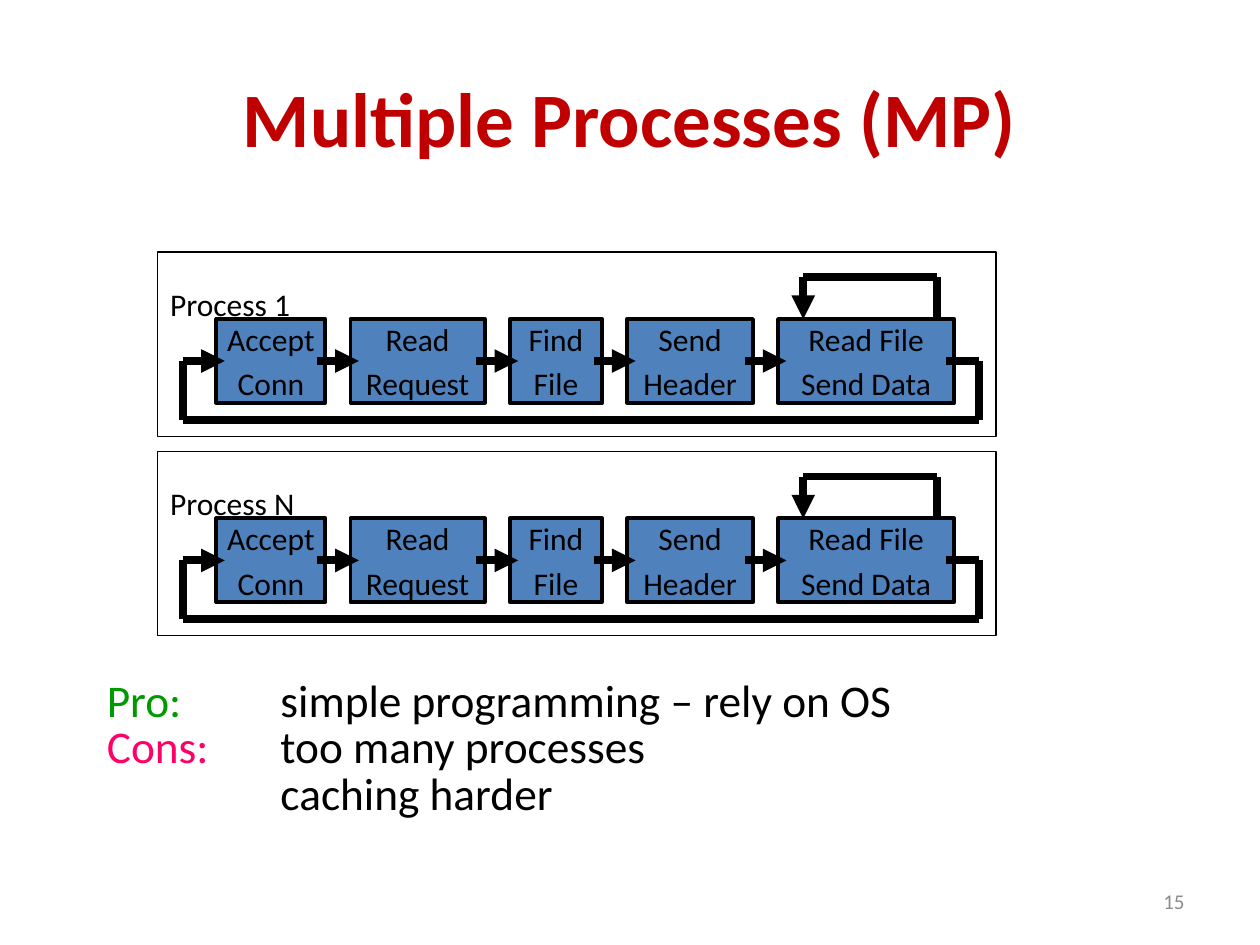
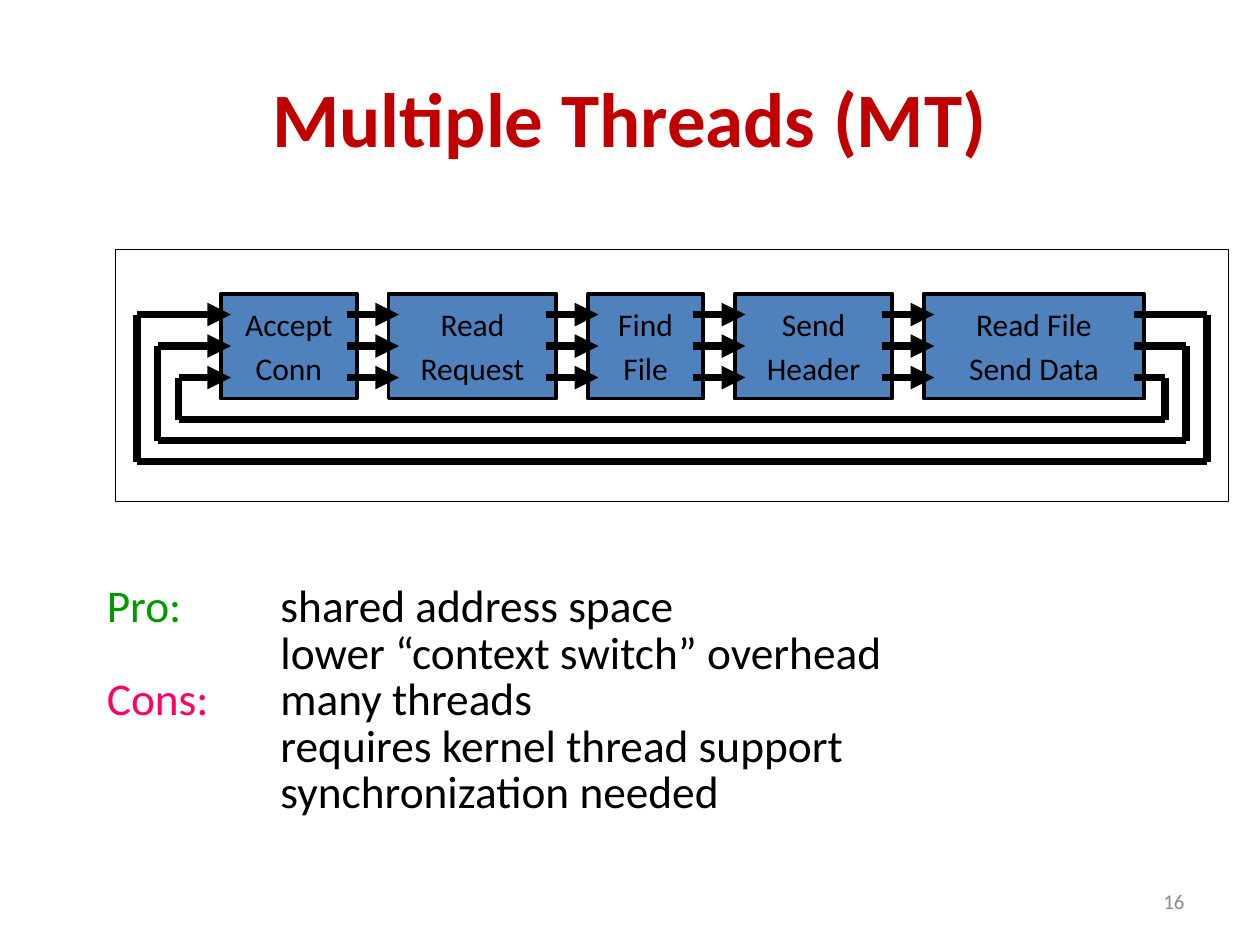
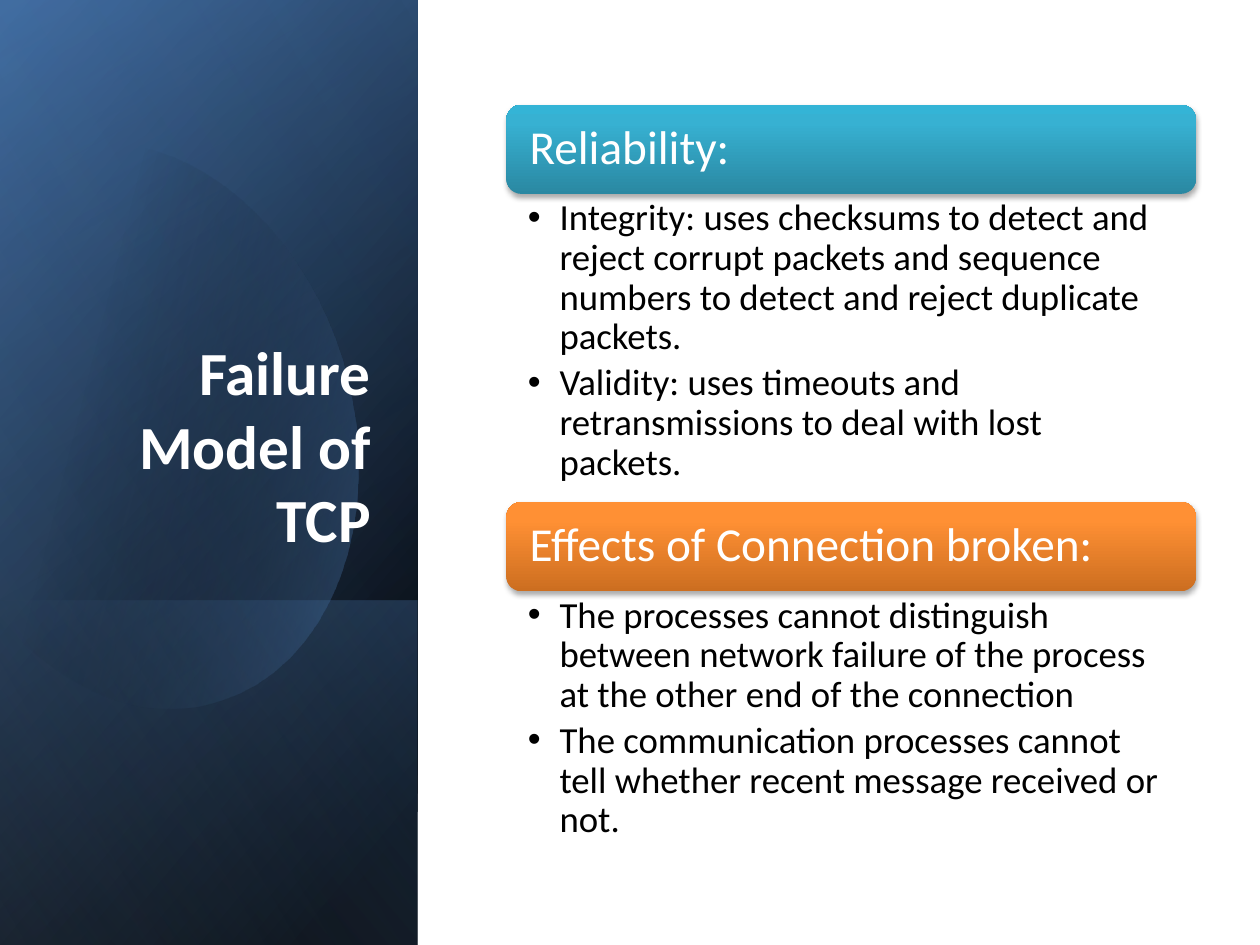
import itertools

import lxml.etree
import pptx
import pptx.dml.color
import pptx.enum.shapes
import pptx.enum.text
import pptx.oxml.ns
import pptx.util

Cm = pptx.util.Cm
Pt = pptx.util.Pt
RGBColor = pptx.dml.color.RGBColor
Shape = pptx.enum.shapes.MSO_SHAPE
Anchor = pptx.enum.text.MSO_ANCHOR
Align = pptx.enum.text.PP_ALIGN
qn = pptx.oxml.ns.qn

FONT = "Calibri"
BLACK = RGBColor(0x00, 0x00, 0x00)
WHITE = RGBColor(0xFF, 0xFF, 0xFF)
TITLE_RED = RGBColor(0xC0, 0x00, 0x00)
NUMBER_GREY = RGBColor(0x8C, 0x8C, 0x8C)
STAGE_BLUE = RGBColor(0x4F, 0x81, 0xBD)
DEEP_BLUE = RGBColor(0x37, 0x60, 0x92)
PALE_BLUE = RGBColor(0x95, 0xB3, 0xD7)
PRO_GREEN = RGBColor(0x00, 0x99, 0x00)
CONS_PINK = RGBColor(0xFF, 0x00, 0x66)
TEAL_STOPS = [(0, RGBColor(0x2A, 0x88, 0xA2), 100), (80, RGBColor(0x37, 0xB1, 0xD2), 100),
              (100, RGBColor(0x34, 0xB4, 0xD6), 100)]
ORANGE_STOPS = [(0, RGBColor(0xCC, 0x6E, 0x20), 100), (80, RGBColor(0xFF, 0x90, 0x34), 100),
                (100, RGBColor(0xFF, 0x91, 0x36), 100)]

LABEL_COLORS = {"Pro:": PRO_GREEN, "Cons:": CONS_PINK, "": BLACK}
STAGES = [("Accept\nConn", 13), ("Read\nRequest", 16), ("Find\nFile", 11),
          ("Send\nHeader", 15), ("Read File\nSend Data", 21)]
STAGE_GAP = 3
STAGE_HEIGHT = 10
PIPELINE_WIDTH = sum(width for _, width in STAGES) + STAGE_GAP * (len(STAGES) - 1)


def place(shape, left, top, width, height):
    """Move a shape to a box given in centimetres."""
    shape.left, shape.top = Cm(left), Cm(top)
    shape.width, shape.height = Cm(width), Cm(height)


def format_font(font, size, color, bold=False):
    """Apply the shared typeface with a size and colour."""
    font.name, font.size, font.bold = FONT, Pt(size), bold
    font.color.rgb = color


def write_text(text_frame, text, size, color, alignment=Align.LEFT, bold=False,
               before=0, after=0, line_spacing=1.0):
    """Fill a text frame and format all its paragraphs alike."""
    text_frame.text = text
    text_frame.auto_size = pptx.enum.text.MSO_AUTO_SIZE.NONE
    for paragraph in text_frame.paragraphs:
        paragraph.alignment = alignment
        paragraph.line_spacing = line_spacing
        paragraph.space_before, paragraph.space_after = Pt(before), Pt(after)
        for run in paragraph.runs:
            format_font(run.font, size, color, bold)


def set_margins(text_frame, left, top, right, bottom):
    """Set the four insets of a text frame in centimetres."""
    text_frame.margin_left, text_frame.margin_top = Cm(left), Cm(top)
    text_frame.margin_right, text_frame.margin_bottom = Cm(right), Cm(bottom)


def hang_paragraph(paragraph, indent, bullet=None):
    """Give a paragraph a hanging indent with a bullet or none."""
    properties = paragraph._p.get_or_add_pPr()
    properties.set("marL", str(Cm(indent)))
    properties.set("indent", str(-Cm(indent)))
    if bullet:
        lxml.etree.SubElement(properties, qn("a:buChar"), char=bullet)
    else:
        lxml.etree.SubElement(properties, qn("a:buNone"))


def fill_gradient(shape, stops, angle):
    """Fill a borderless shape with (position, colour, opacity) stops."""
    shape.shadow.inherit = False
    shape.line.fill.background()
    shape.fill.background()
    properties = shape.element.spPr
    gradient = lxml.etree.Element(qn("a:gradFill"), rotWithShape="1")
    stop_list = lxml.etree.SubElement(gradient, qn("a:gsLst"))
    for position, color, opacity in stops:
        stop = lxml.etree.SubElement(stop_list, qn("a:gs"), pos=str(position * 1000))
        value = lxml.etree.SubElement(stop, qn("a:srgbClr"), val=str(color))
        if opacity < 100:
            lxml.etree.SubElement(value, qn("a:alpha"), val=str(opacity * 1000))
    lxml.etree.SubElement(gradient, qn("a:lin"), ang=str(angle * 60000), scaled="0")
    properties.replace(properties.find(qn("a:noFill")), gradient)


def add_soft_shadow(shape):
    """Cast a short shadow below a shape."""
    effects = shape.element.spPr.find(qn("a:effectLst"))
    shadow = lxml.etree.SubElement(effects, qn("a:outerShdw"), blurRad=str(Pt(3.1)),
                                   dist=str(Pt(1.8)), dir="5400000", rotWithShape="0")
    color = lxml.etree.SubElement(shadow, qn("a:srgbClr"), val=str(BLACK))
    lxml.etree.SubElement(color, qn("a:alpha"), val="35000")


def add_box(shapes, left, top, width, height, fill, line_width):
    """Add a rectangle with a black outline."""
    box = shapes.add_shape(Shape.RECTANGLE, Cm(left), Cm(top), Cm(width), Cm(height))
    box.shadow.inherit = False
    box.fill.solid()
    box.fill.fore_color.rgb = fill
    box.line.color.rgb = BLACK
    box.line.width = Pt(line_width)
    return box


def add_route(shapes, points, arrow=False):
    """Join points with thick lines, the last one optionally an arrow."""
    segments = list(itertools.pairwise(points))
    for start, end in segments:
        connector = shapes.add_connector(pptx.enum.shapes.MSO_CONNECTOR.STRAIGHT,
                                         *(Cm(value) for value in (*start, *end)))
        connector.line.color.rgb = BLACK
        connector.line.width = Pt(4.5)
        properties = connector.element.spPr
        if arrow and (start, end) == segments[-1]:
            lxml.etree.SubElement(properties.find(qn("a:ln")), qn("a:tailEnd"), type="triangle")
        lxml.etree.SubElement(properties, qn("a:effectLst"))


def add_pipeline(shapes, left, top, unit, lanes):
    """Draw the five stages and, per lane, the arrows and return route."""
    def point(x, y):
        """Turn grid units into centimetres."""
        return left + x * unit, top + y * unit

    x = 0
    starts = []
    for text, width in STAGES:
        starts.append(x)
        stage = add_box(shapes, *point(x, 0), width * unit, STAGE_HEIGHT * unit, STAGE_BLUE, 2.25)
        stage.text_frame.word_wrap = False
        stage.text_frame.vertical_anchor = Anchor.MIDDLE
        write_text(stage.text_frame, text, 18, BLACK, Align.CENTER, before=3.6)
        x += width + STAGE_GAP
    for height, left_margin, depth, right_margin in lanes:
        for start in starts[1:]:
            add_route(shapes, [point(start - STAGE_GAP - 1, height), point(start + 1, height)], True)
        right = PIPELINE_WIDTH + right_margin
        add_route(shapes, [point(PIPELINE_WIDTH - 1, height), point(right, height),
                           point(right, depth), point(-left_margin, depth),
                           point(-left_margin, height), point(1, height)], True)


def add_process(slide, name, left, top, width):
    """Draw one framed process with its pipeline and read loop."""
    unit = width / 100
    shapes = slide.shapes.add_group_shape().shapes
    frame = add_box(shapes, left, top, width, 22 * unit, WHITE, 0.75)
    frame.text_frame.vertical_anchor = Anchor.TOP
    set_margins(frame.text_frame, 0.25, 0.66, 0.25, 0)
    write_text(frame.text_frame, name, 18, BLACK)
    add_pipeline(shapes, left + 7 * unit, top + 8 * unit, unit, [(5, 4, 12, 3)])
    loop = [(93, 8), (93, 3), (77, 3), (77, 8)]
    add_route(shapes, [(left + x * unit, top + y * unit) for x, y in loop], True)


def add_threads(slide, left, top, width):
    """Draw the frame whose pipeline is shared by three threads."""
    unit = width / 106
    add_box(slide.shapes, left, top, width, 24 * unit, WHITE, 0.75)
    lanes = [(2 + 3 * row, 8 - 2 * row, 16 - 2 * row, 6 - 2 * row) for row in range(3)]
    add_pipeline(slide.shapes, left + 10 * unit, top + 4.2 * unit, unit, lanes)


def add_pros_and_cons(body, points, left, top, width, height):
    """Fill the body placeholder with labelled points in two columns."""
    place(body, left, top, width, height)
    write_text(body.text_frame, "\n".join(label for label, _ in points), 25.9, BLACK,
               before=4.8, line_spacing=0.7)
    for paragraph, (label, text) in zip(body.text_frame.paragraphs, points):
        for run in paragraph.runs:
            run.font.color.rgb = LABEL_COLORS[label]
        run = paragraph.add_run()
        run.text = "\t" + text
        format_font(run.font, 25.9, BLACK)
        hang_paragraph(paragraph, 3.5)


def add_server_slide(presentation, title, number, points, points_top):
    """Add a slide with a red title, pros and cons and a page number."""
    slide = presentation.slides.add_slide(presentation.slide_layouts[1])
    place(slide.shapes.title, 1.27, 0.76, 22.86, 3.18)
    slide.shapes.title.text_frame.vertical_anchor = Anchor.MIDDLE
    write_text(slide.shapes.title.text_frame, title, 44, TITLE_RED, Align.CENTER, bold=True)
    add_pros_and_cons(slide.placeholders[1], points, 1.9, points_top, 21.6, 16.92 - points_top)
    page_number = slide.shapes.add_textbox(Cm(18.2), Cm(17.66), Cm(5.93), Cm(1.01))
    page_number.text_frame.word_wrap = True
    page_number.text_frame.vertical_anchor = Anchor.MIDDLE
    write_text(page_number.text_frame, str(number), 12, NUMBER_GREY, Align.RIGHT)
    return slide


def add_panel(slide, left, top, width, height, stops, angle):
    """Add a turned and mirrored gradient panel that covers the box."""
    panel = slide.shapes.add_shape(Shape.RECTANGLE, Cm(left + (width - height) / 2),
                                   Cm(top + (height - width) / 2), Cm(height), Cm(width))
    panel.rotation = 90
    panel.element.spPr.find(qn("a:xfrm")).set("flipH", "1")
    fill_gradient(panel, stops, angle)


def curve_points(start, first, second, end, steps=16):
    """Return points along a cubic curve, without its start."""
    points = []
    for step in range(1, steps + 1):
        t = step / steps
        weights = ((1 - t) ** 3, 3 * t * (1 - t) ** 2, 3 * t * t * (1 - t), t ** 3)
        points.append(tuple(sum(weight * place[axis] for weight, place
                                in zip(weights, (start, first, second, end)))
                            for axis in range(2)))
    return points


def add_glow(slide, left, top):
    """Add the large tilted oval, cut off at the left edge."""
    outline = [(0, 0.8)]
    for curve in [((0.7, 0.2), (1.6, 0), (2.44, 0.15)),
                  ((4.34, 0.35), (6.2, 2.13), (6.93, 4.62)),
                  ((7.8, 7.71), (6.65, 10.74), (4.34, 11.4)),
                  ((2.9, 11.83), (1.35, 11.22), (0, 9.75))]:
        outline += curve_points(outline[-1], *curve)
    points = [(Cm(left + x), Cm(top + y)) for x, y in outline]
    builder = slide.shapes.build_freeform(*points[0], scale=1.0)
    builder.add_line_segments(points[1:], close=True)
    fill_gradient(builder.convert_to_shape(), [(29, BLACK, 0), (100, STAGE_BLUE, 43)], 14)


def add_side_band(slide, title, left, top, width, height):
    """Draw the dark band and put the title on it."""
    box = (left, top, width, height)
    add_panel(slide, *box, [(8, BLACK, 100), (100, DEEP_BLUE, 100)], 50)
    add_panel(slide, *box, [(0, BLACK, 0), (99, STAGE_BLUE, 46)], 30)
    add_panel(slide, left, top + 12.1, width, height - 12.1,
              [(2, STAGE_BLUE, 29), (100, BLACK, 30)], 130)
    add_glow(slide, left, top + 2.75)
    add_panel(slide, *box, [(0, BLACK, 0), (99, PALE_BLUE, 11)], 120)
    heading = slide.shapes.title
    heading.element.getparent().append(heading.element)
    place(heading, left + 1.22, top + 4.67, width - 1.91, 6.65)
    heading.text_frame.vertical_anchor = Anchor.BOTTOM
    write_text(heading.text_frame, title, 35, WHITE, Align.RIGHT, bold=True)


def add_section(slide, body, heading, stops, items, left, top, width, height):
    """Draw a coloured heading bar with a bulleted list below."""
    bar_height = 1.8
    bar = slide.shapes.add_shape(Shape.ROUNDED_RECTANGLE, Cm(left), Cm(top),
                                 Cm(width), Cm(bar_height))
    fill_gradient(bar, stops, 270)
    add_soft_shadow(bar)
    bar.text_frame.vertical_anchor = Anchor.MIDDLE
    bar.text_frame.word_wrap = True
    set_margins(bar.text_frame, 0.38, 0, 0.38, 0)
    write_text(bar.text_frame, heading, 27, WHITE, line_spacing=0.9)
    place(body, left, top + bar_height, width, height - bar_height)
    set_margins(body.text_frame, 0.43, 0.1, 0.53, 0.1)
    write_text(body.text_frame, "\n".join(items), 21, BLACK, after=3.6, line_spacing=0.9)
    for paragraph in body.text_frame.paragraphs:
        hang_paragraph(paragraph, 0.64, "•")


def add_failure_slide(presentation):
    """Add the slide on how TCP fails."""
    slide = presentation.slides.add_slide(presentation.slide_layouts[3])
    add_side_band(slide, "Failure Model of TCP", 0, 0, 8.42, 19.05)
    add_section(slide, slide.placeholders[1], "Reliability:", TEAL_STOPS, [
        "Integrity: uses checksums to detect and reject corrupt packets and sequence "
        "numbers to detect and reject duplicate packets.",
        "Validity: uses timeouts and retransmissions to deal with lost packets.",
    ], 10.21, 2.11, 13.9, 8)
    add_section(slide, slide.placeholders[2], "Effects of Connection broken:", ORANGE_STOPS, [
        "The processes cannot distinguish between network failure of the process "
        "at the other end of the connection",
        "The communication processes cannot tell whether recent message received or not.",
    ], 10.21, 10.12, 13.9, 7.08)


def main():
    """Build the three slides and save them."""
    presentation = pptx.Presentation()
    presentation.slide_width, presentation.slide_height = Cm(25.4), Cm(19.05)

    processes = add_server_slide(presentation, "Multiple Processes (MP)", 15, [
        ("Pro:", "simple programming – rely on OS"),
        ("Cons:", "too many processes"),
        ("", "caching harder"),
    ], 13.72)
    for row, name in enumerate(["Process 1", "Process N"]):
        add_process(processes, name, 3.18, 5.08 + 4.02 * row, 16.9)

    threads = add_server_slide(presentation, "Multiple Threads (MT)", 16, [
        ("Pro:", "shared address space"),
        ("", "lower “context switch” overhead"),
        ("Cons:", "many threads"),
        ("", "requires kernel thread support"),
        ("", "synchronization needed"),
    ], 11.81)
    add_threads(threads, 2.33, 5.03, 22.43)

    add_failure_slide(presentation)
    presentation.save("out.pptx")


if __name__ == "__main__":
    main()
